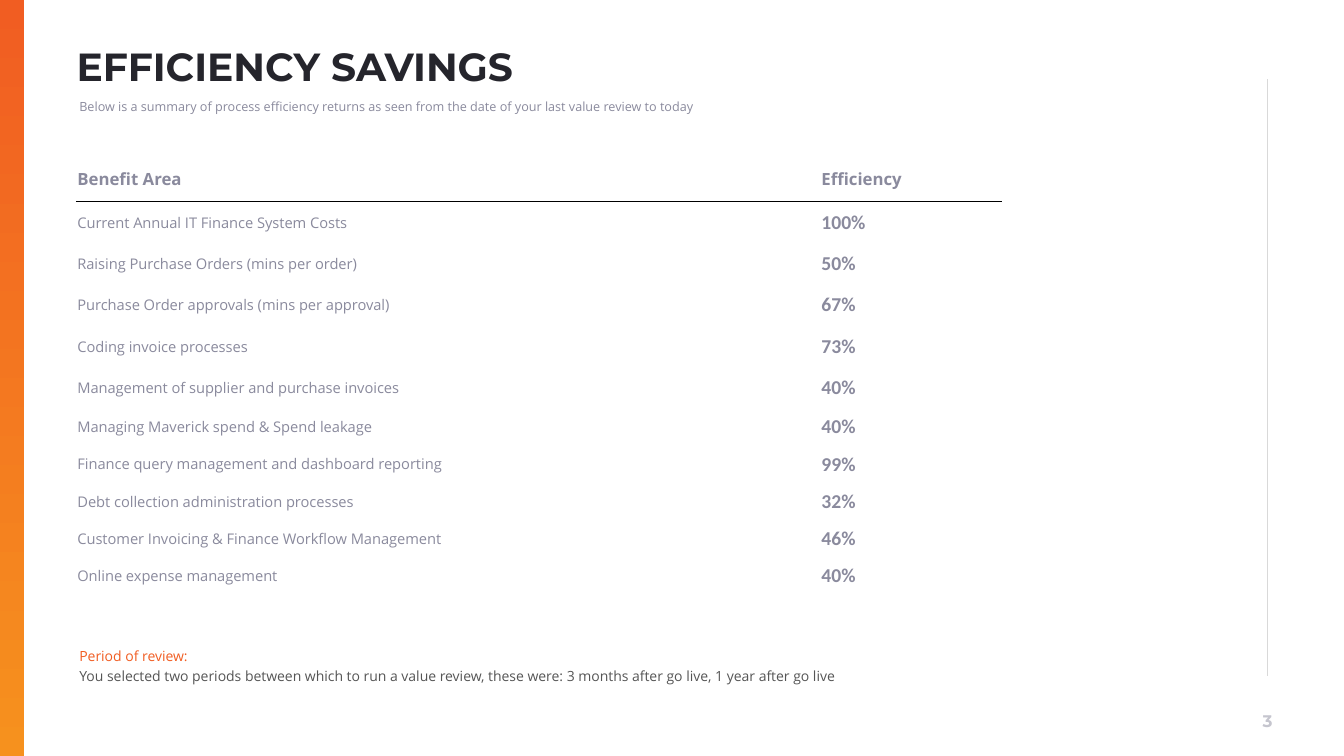
from dataclasses import dataclass

from lxml.etree import SubElement
from pptx import Presentation
from pptx.dml.color import RGBColor
from pptx.enum.shapes import MSO_CONNECTOR, MSO_SHAPE
from pptx.enum.text import MSO_ANCHOR, PP_ALIGN
from pptx.oxml.ns import qn
from pptx.util import Cm, Pt


@dataclass(frozen=True)
class Theme:
    """Colours, fonts and type sizes of the slide."""
    ink: str = "25252C"
    muted: str = "8A8A9D"
    body: str = "555555"
    accent: str = "F15D22"
    accent_end: str = "F6911E"
    number: str = "C5C5CE"
    hairline: str = "D9D9D9"
    rule: str = "000000"
    paper: str = "FFFFFF"
    heading_font: str = "Montserrat"
    text_font: str = "Open Sans"
    figure_font: str = "Calibri"
    title_size: float = 28
    subtitle_size: float = 9
    header_size: float = 12
    label_size: float = 10.5
    figure_size: float = 14
    note_size: float = 10
    number_size: float = 12


THEME = Theme()

SAVINGS = [
    ("Current Annual IT Finance System Costs", "100%"),
    ("Raising Purchase Orders (mins per order)", "50%"),
    ("Purchase Order approvals (mins per approval)", "67%"),
    ("Coding invoice processes", "73%"),
    ("Management of supplier and purchase invoices", "40%"),
    ("Managing Maverick spend & Spend leakage", "40%"),
    ("Finance query management and dashboard reporting", "99%"),
    ("Debt collection administration processes", "32%"),
    ("Customer Invoicing & Finance Workflow Management", "46%"),
    ("Online expense management", "40%"),
]
ROW_HEIGHTS = [1.14] + [1.04] * 5 + [0.94] * 5


def add_span(para, text, size, colour, font=THEME.text_font, bold=False):
    """Append one formatted run to a paragraph."""
    span = para.add_run()
    span.text = text
    span.font.size = Pt(size)
    span.font.name = font
    span.font.bold = bold
    span.font.color.rgb = RGBColor.from_string(colour)


def add_text_box(page, left, top, width, height, line_spacing=1.0):
    """Add a wrapping text box without insets and return its paragraph."""
    frame = page.shapes.add_textbox(Cm(left), Cm(top), Cm(width), Cm(height)).text_frame
    frame.word_wrap = True
    frame.margin_left = frame.margin_right = frame.margin_top = frame.margin_bottom = 0
    para = frame.paragraphs[0]
    para.line_spacing = line_spacing
    return para


def add_note(page, top):
    """Add an indented note with open line spacing and return its paragraph."""
    para = add_text_box(page, 1.75, top, 27.35, 1.09, 1.2)
    para.space_before = para.space_after = Pt(8)
    para._p.get_or_add_pPr().set("marL", str(Cm(0.25)))
    return para


def add_side_band(page, height):
    """Add the gradient band on the left edge."""
    band = page.shapes.add_shape(MSO_SHAPE.RECTANGLE, 0, 0, Cm(0.61), height)
    band.shadow.inherit = False
    band.line.fill.background()
    band.fill.gradient()
    band.fill.gradient_angle = 270
    for stop, colour in zip(band.fill.gradient_stops, (THEME.accent, THEME.accent_end)):
        stop.color.rgb = RGBColor.from_string(colour)


def add_side_line(page):
    """Add the thin vertical line on the right."""
    line = page.shapes.add_connector(
        MSO_CONNECTOR.STRAIGHT, Cm(31.93), Cm(2.0), Cm(31.93), Cm(17.04))
    line.line.color.rgb = RGBColor.from_string(THEME.hairline)
    line.line.width = Pt(0.5)
    SubElement(line._element.spPr, qn("a:effectLst"))


def add_border(cell, side):
    """Draw the header rule on one side of a cell."""
    border = SubElement(cell._tc.get_or_add_tcPr(), qn(f"a:{side}"), w=str(Pt(0.5)))
    fill = SubElement(border, qn("a:solidFill"))
    SubElement(fill, qn("a:srgbClr"), val=THEME.rule)


def fill_cell(cell, text, size, font, bold):
    """Set the text, insets and background of a table cell."""
    cell.vertical_anchor = MSO_ANCHOR.MIDDLE
    cell.margin_left = cell.margin_right = cell.margin_top = Cm(0.02)
    cell.margin_bottom = 0
    cell.fill.solid()
    cell.fill.fore_color.rgb = RGBColor.from_string(THEME.paper)
    add_span(cell.text_frame.paragraphs[0], text, size, THEME.muted, font, bold)


def add_savings_table(page):
    """Add the table of benefit areas and their efficiency."""
    table = page.shapes.add_table(
        len(ROW_HEIGHTS), 2, Cm(1.93), Cm(3.94), Cm(23.3), Cm(sum(ROW_HEIGHTS))).table
    table.first_row = table.horz_banding = False
    for column, width in zip(table.columns, (18.75, 4.55)):
        column.width = Cm(width)
    for row, height in zip(table.rows, ROW_HEIGHTS):
        row.height = Cm(height)
    for column in range(2):
        add_border(table.cell(0, column), "lnB")
        add_border(table.cell(1, column), "lnT")
    for column, heading in enumerate(("Benefit Area", "Efficiency")):
        fill_cell(table.cell(0, column), heading, THEME.header_size, THEME.text_font, True)
    for row, (area, efficiency) in enumerate(SAVINGS, start=1):
        fill_cell(table.cell(row, 0), area, THEME.label_size, THEME.text_font, False)
        fill_cell(table.cell(row, 1), efficiency, THEME.figure_size, THEME.figure_font, True)


def add_page_number(page):
    """Add the slide number at the lower right."""
    para = add_text_box(page, 31.4, 17.9, 1.09, 0.76)
    para.alignment = PP_ALIGN.CENTER
    add_span(para, "3", THEME.number_size, THEME.number, THEME.heading_font, True)


def main():
    """Build the slide and save it."""
    deck = Presentation()
    deck.slide_width, deck.slide_height = Cm(33.87), Cm(19.05)
    page = deck.slides.add_slide(deck.slide_layouts[6])

    add_side_line(page)
    add_side_band(page, deck.slide_height)
    add_page_number(page)

    title = add_text_box(page, 1.93, 1.19, 30, 1.09, 0.9)
    add_span(title, "EFFICIENCY SAVINGS", THEME.title_size, THEME.ink, THEME.heading_font, True)

    subtitle = add_note(page, 2.41)
    add_span(subtitle, "Below is a summary of process efficiency returns as seen "
             "from the date of your last value review to today",
             THEME.subtitle_size, THEME.muted)

    add_savings_table(page)

    period = add_note(page, 16.23)
    add_span(period, "Period of review: ", THEME.note_size, THEME.accent)
    period.add_line_break()
    add_span(period, "You selected two periods between which to run a value review, "
             "these were: 3 months after go live, 1 year after go live",
             THEME.note_size, THEME.body)

    deck.save("out.pptx")


if __name__ == "__main__":
    main()
